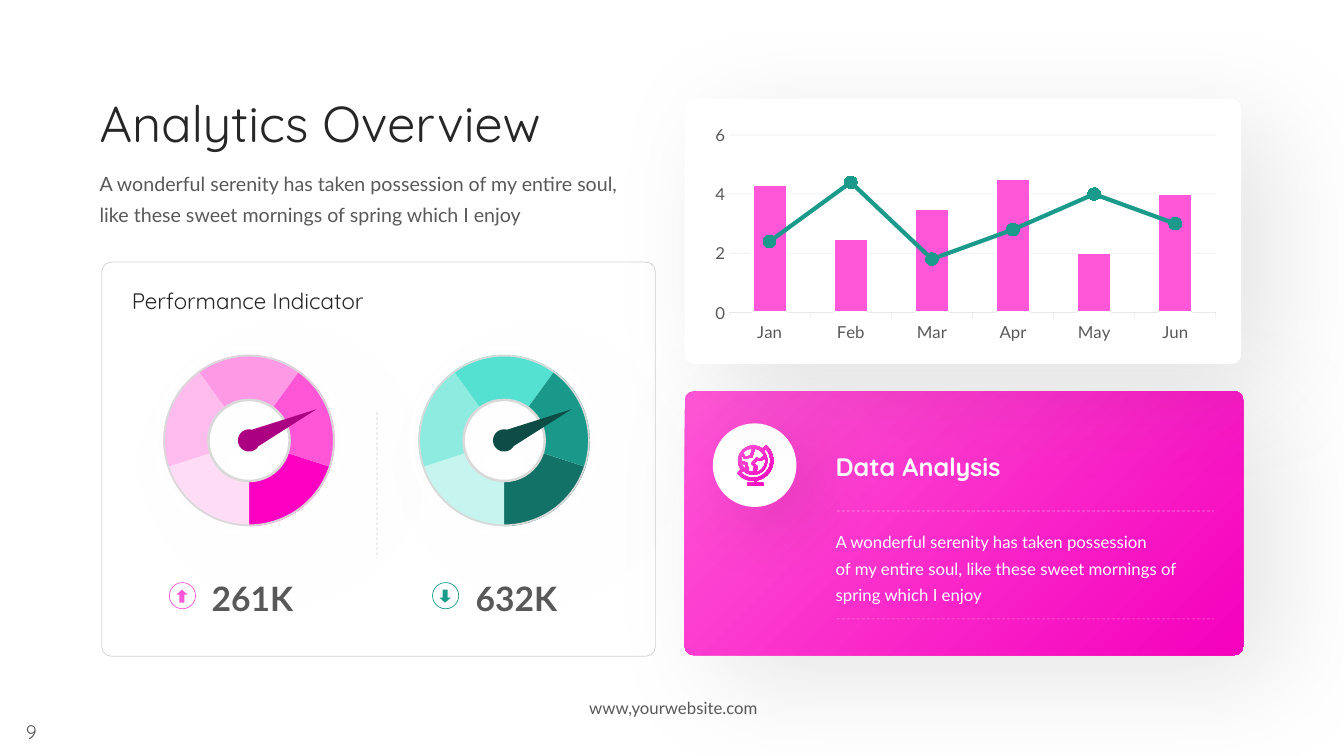
from math import cos, radians, sin
from typing import NamedTuple

from pptx import Presentation
from pptx.chart.data import CategoryChartData
from pptx.dml.color import RGBColor
from pptx.enum.chart import XL_CHART_TYPE, XL_MARKER_STYLE, XL_TICK_MARK
from pptx.enum.dml import MSO_LINE
from pptx.enum.shapes import MSO_CONNECTOR, MSO_SHAPE
from pptx.enum.text import MSO_ANCHOR, MSO_AUTO_SIZE, PP_ALIGN
from pptx.oxml import parse_xml
from pptx.oxml.ns import nsdecls, qn
from pptx.util import Emu, Pt

PX = 9144  # 100 px to the inch
WHITE, INK, GREY, RULE, RING, PINK, MAGENTA, TEAL, PLUM, PINE = map(RGBColor.from_string, (
    "FFFFFF", "262626", "595959", "A6A6A6", "D9D9D9", "FF57D7", "F500BD", "1A9A8B", "AB0082", "0D4D46"))
PINKS = [*map(RGBColor.from_string, ("FF01C3", "FFDDF7", "FFBCEF", "FF9AE7")), PINK]
TEALS = [*map(RGBColor.from_string, ("137368", "C7F5F0", "8EECE1", "56E2D2")), TEAL]
HEAD, BODY = "Quicksand", "Lato"
ROUND = MSO_SHAPE.ROUNDED_RECTANGLE
Point = tuple[float, float]


class Label(NamedTuple):
    text: str
    box: tuple[int, int, int, int]
    size: int
    color: RGBColor
    font: str = BODY
    bold: bool = False
    centered: bool = False
    anchor: MSO_ANCHOR = MSO_ANCHOR.TOP


class Gauge(NamedTuple):
    cx: int
    segments: list[RGBColor]
    needle: RGBColor
    badge_x: int
    arrow: MSO_SHAPE
    value: Label


TEXTS = [
    Label("9", (0, 709, 62, 34), 14, GREY, HEAD, centered=True),
    Label("Analytics Overview", (89, 68, 565, 81), 36, INK, HEAD),
    Label("A wonderful serenity has taken possession of my entire soul, "
          "like these sweet mornings of spring which I enjoy", (89, 159, 554, 69), 14, GREY),
    Label("Performance Indicator", (121, 272, 303, 42), 16, INK, HEAD),
    Label("www,yourwebsite.com", (546, 687, 244, 30), 12, GREY, centered=True),
]
CARD_TEXTS = [
    Label("A wonderful serenity has taken possession\nof my entire soul, "
          "like these sweet mornings of spring which I enjoy", (819, 517, 396, 86), 12, WHITE),
    Label("Data Analysis", (819, 434, 396, 46), 18, WHITE, HEAD, bold=True),
]
GAUGES = [
    Gauge(247, PINKS, PLUM, 168, MSO_SHAPE.UP_ARROW,
          Label("261K", (200, 559, 125, 57), 24, GREY, bold=True, anchor=MSO_ANCHOR.MIDDLE)),
    Gauge(500, TEALS, PINE, 429, MSO_SHAPE.DOWN_ARROW,
          Label("632K", (462, 559, 110, 57), 24, GREY, bold=True, anchor=MSO_ANCHOR.MIDDLE)),
]


def px(*lengths: float) -> list[Emu]:
    return [Emu(round(n * PX)) for n in lengths]


def fade(element, color: RGBColor, percent: int) -> None:
    """Make every use of color inside element partly transparent."""
    for clr in element.iter(qn("a:srgbClr")):
        if clr.get("val") == str(color):
            clr.append(parse_xml(f'<a:alpha {nsdecls("a")} val="{percent * 1000}"/>'))


def cast_shadow(sp, blur: int = 80, distance: int = 30, angle: int = 35) -> None:
    sp.element.spPr.find(qn("a:effectLst")).append(parse_xml(
        f'<a:outerShdw {nsdecls("a")} blurRad="{Pt(blur)}" dist="{Pt(distance)}" dir="{angle * 60000}" algn="tl" '
        'rotWithShape="0"><a:srgbClr val="000000"><a:alpha val="10000"/></a:srgbClr></a:outerShdw>'))


def set_line(line, color: RGBColor, width: float = 0.5) -> None:
    line.color.rgb, line.width = color, Pt(width)


def paint(sp, *colors: RGBColor) -> None:
    """Fill with nothing, one colour, or a gradient of two."""
    sp.shadow.inherit = False
    sp.line.fill.background()
    if len(colors) == 2:
        sp.fill.gradient()
        sp.fill.gradient_angle = 315
        for stop, color in zip(sp.fill.gradient_stops, colors):
            stop.color.rgb = color
    elif colors:
        sp.fill.solid()
        sp.fill.fore_color.rgb = colors[0]
    else:
        sp.fill.background()


def add_preset(shapes, kind: MSO_SHAPE, box: tuple[float, ...], *colors: RGBColor, adj: tuple[float, ...] = ()):
    sp = shapes.add_shape(kind, *px(*box))
    for i, value in enumerate(adj):
        sp.adjustments[i] = value
    paint(sp, *colors)
    return sp


def add_outline(shapes, contours: list[list[Point]], *colors: RGBColor) -> None:
    builder = shapes.build_freeform(*px(*contours[0][0]))
    for contour in contours:
        start, *others = [px(*point) for point in contour]
        if contour is not contours[0]:
            builder.move_to(*start)
        builder.add_line_segments(others)
    paint(builder.convert_to_shape(), *colors)


def add_label(shapes, label: Label) -> None:
    tf = shapes.add_textbox(*px(*label.box)).text_frame
    tf.word_wrap, tf.auto_size = True, MSO_AUTO_SIZE.SHAPE_TO_FIT_TEXT
    tf.vertical_anchor = label.anchor
    p = tf.paragraphs[0]
    p.text = label.text
    p.font.name, p.font.size, p.font.bold = label.font, Pt(label.size), label.bold
    p.font.color.rgb = label.color
    if label.centered:
        p.alignment = PP_ALIGN.CENTER
    else:
        p.line_spacing, p.space_after = 1.3, Pt(6)


def add_dashed(shapes, x1: int, y1: int, x2: int, y2: int, color: RGBColor) -> None:
    rule = shapes.add_connector(MSO_CONNECTOR.STRAIGHT, *px(x1, y1, x2, y2))
    set_line(rule.line, color)
    rule.line.dash_style = MSO_LINE.DASH
    rule.element.spPr.append(parse_xml(f'<a:effectLst {nsdecls("a")}/>'))
    fade(rule.element, color, 50)


def arc(cx: float, cy: float, radius: float, start: int, end: int) -> list[Point]:
    """Points from start to end, in degrees clockwise from the right."""
    angles = [radians(start + (end - start) * i / 24) for i in range(25)]
    return [(cx + radius * cos(a), cy + radius * sin(a)) for a in angles]


def add_globe(shapes, cx: int = 747, cy: int = 457) -> None:
    stand = [(748, 479), (741, 479), (741, 482), (757, 482), (757, 479), (750, 479), (750, 476)]
    add_outline(shapes, [
        arc(cx, cy, 15, 146, 307) + arc(cx, cy, 20, -50, 81) + stand[::-1] + arc(cx, cy, 20, 87, 141),
        arc(cx, cy, 17, -43, 135) + arc(cx, cy, 14, 135, -43),
        arc(cx, cy, 12, 0, 72) + [(751, 462), (748, 460), (751, 457), (755, 457), (759, 455)],
        [(754, 455), (750, 454), (745, 460), (748, 463), (747, 468), (743, 468), (741, 459), (735, 457),
         (736, 452), (738, 455), (746, 454)] + arc(cx, cy, 12, -80, -25),
        [(740, 466), (737, 463), (735, 460), (739, 461)],
        [(746, 445), (744, 452), (739, 453), (737, 449), (741, 446)]], PINK, MAGENTA)


def add_gauge(shapes, gauge: Gauge) -> None:
    cx, cy, accent = gauge.cx, 437, gauge.segments[-1]
    set_line(add_preset(shapes, MSO_SHAPE.OVAL, (gauge.badge_x, 578, 26, 26)).line, accent)
    add_preset(shapes, gauge.arrow, (gauge.badge_x + 7, 585, 11, 13), accent, adj=(0.45, 0.45))
    add_label(shapes, gauge.value)
    for i, color in enumerate(gauge.segments):
        start = 18 + 72 * i
        add_outline(shapes, [arc(cx, cy, 85, start, start + 72) + arc(cx, cy, 41, start + 72, start)], color)
    for size, width, color in ((189, 0.02, WHITE), (83, 0.03, RING), (170, 0.01, RING)):
        box = (cx - size / 2, cy - size / 2, size, size)
        ring = add_preset(shapes, MSO_SHAPE.DONUT, box, color, adj=(width,))
        if color == WHITE:
            cast_shadow(ring)
    add_preset(shapes, ROUND, (cx - 20, 451, 40, 15), WHITE, adj=(0.36,))
    add_outline(shapes, [[(cx + 67, 406), *arc(cx, cy, 11, 31, 285)]], gauge.needle)


def add_combined_chart(shapes) -> None:
    data = CategoryChartData()
    data.categories = ["Jan", "Feb", "Mar", "Apr", "May", "Jun"]
    data.add_series("Series 1", (4.3, 2.5, 3.5, 4.5, 2, 4))
    data.add_series("Series 2", (2.4, 4.4, 1.8, 2.8, 4, 3))
    chart = shapes.add_chart(XL_CHART_TYPE.COLUMN_CLUSTERED, *px(708, 120, 505, 219), data).chart
    chart.has_legend = chart.has_title = False
    chart.font.name, chart.font.size = BODY, Pt(12)
    chart.font.color.rgb = GREY
    bars = next(chart.element.iter(qn("c:barChart")))
    area = bars.getparent()
    lines = parse_xml(f'<c:lineChart {nsdecls("c")}><c:grouping val="standard"/><c:varyColors val="0"/></c:lineChart>')
    ser = bars.findall(qn("c:ser"))[1]
    for flag in ser.findall(qn("c:invertIfNegative")):
        ser.remove(flag)
    ids = "".join(f'<c:axId val="{a.get("val")}"/>' for a in bars.findall(qn("c:axId")))
    lines.extend([ser, *parse_xml(f'<c:lineChart {nsdecls("c")}><c:marker val="1"/>{ids}</c:lineChart>')])
    bars.addnext(lines)
    for layout in area.findall(qn("c:layout")):
        area.remove(layout)
    frame = "".join(f'<c:{k} val="{v}"/>' for k, v in dict(
        layoutTarget="inner", xMode="edge", yMode="edge", x=0.03, y=0.065, w=0.956, h=0.819).items())
    area.insert(0, parse_xml(f'<c:layout {nsdecls("c")}><c:manualLayout>{frame}</c:manualLayout></c:layout>'))
    columns, trend = chart.plots
    columns.gap_width, columns.vary_by_categories = 137, False
    column, curve = columns.series[0], trend.series[0]
    curve.smooth = False
    curve.marker.style, curve.marker.size = XL_MARKER_STYLE.CIRCLE, 9
    for part, color in ((column, PINK), (curve.marker, WHITE)):
        part.format.fill.solid()
        part.format.fill.fore_color.rgb = color
    months, amounts = chart.category_axis, chart.value_axis
    months.major_tick_mark, amounts.major_tick_mark = XL_TICK_MARK.OUTSIDE, XL_TICK_MARK.NONE
    amounts.minimum_scale, amounts.maximum_scale, amounts.major_unit = 0, 6, 2
    amounts.format.line.fill.background()
    for part, color, width in ((column, WHITE, 1.5), (curve, TEAL, 3), (curve.marker, TEAL, 3),
                               (months, RULE, 0.5), (amounts.major_gridlines, RULE, 0.5)):
        set_line(part.format.line, color, width)
    fade(chart.element, RULE, 20)


def main() -> None:
    prs = Presentation()
    prs.slide_width, prs.slide_height = px(1333, 750)
    shapes = prs.slides.add_slide(prs.slide_layouts[6]).shapes
    panel = add_preset(shapes, ROUND, (101, 260, 549, 391), adj=(0.024,))
    set_line(panel.line, RULE)
    fade(panel.element, RULE, 50)
    for label in TEXTS:
        add_label(shapes, label)
    cast_shadow(add_preset(shapes, ROUND, (679, 388, 554, 262), PINK, MAGENTA, adj=(0.034,)))
    for label in CARD_TEXTS:
        add_label(shapes, label)
    cast_shadow(add_preset(shapes, ROUND, (707, 420, 83, 83), WHITE, adj=(0.5,)), 50, 20, 45)
    add_globe(shapes)
    for y in (507, 614):
        add_dashed(shapes, 830, y, 1204, y, WHITE)
    add_dashed(shapes, 374, 409, 374, 554, RULE)
    for gauge in GAUGES:
        add_gauge(shapes, gauge)
    cast_shadow(add_preset(shapes, ROUND, (679, 98, 552, 263), WHITE, adj=(0.034,)))
    add_combined_chart(shapes)
    prs.save("out.pptx")


if __name__ == "__main__":
    main()
